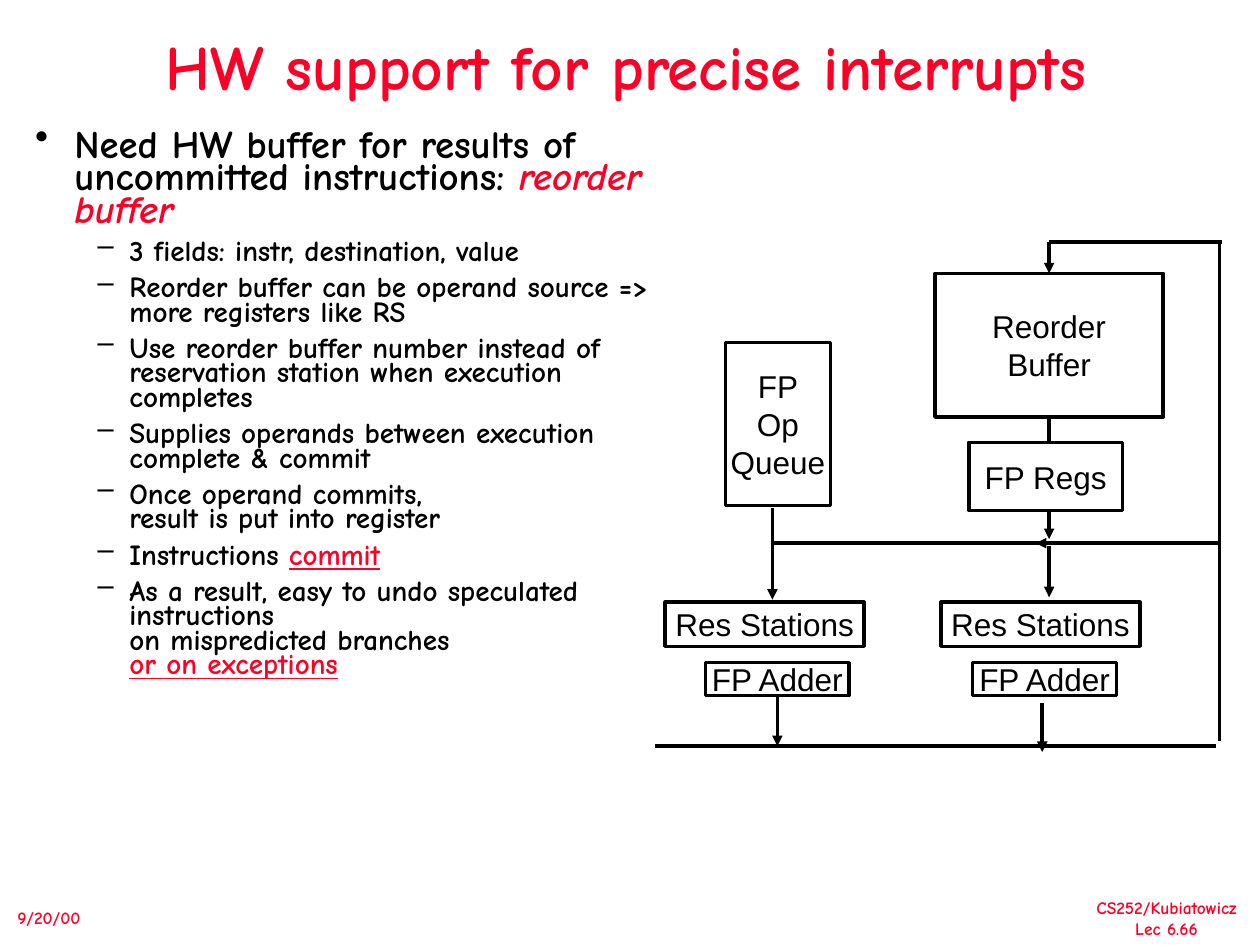
from lxml.etree import SubElement
from pptx import Presentation
from pptx.dml.color import RGBColor
from pptx.enum.shapes import MSO_CONNECTOR, MSO_SHAPE
from pptx.enum.text import MSO_ANCHOR, PP_ALIGN
from pptx.oxml.ns import qn
from pptx.util import Cm, Pt

RED = RGBColor(0xFC, 0x01, 0x28)
BLACK = RGBColor(0x00, 0x00, 0x00)
WHITE = RGBColor(0xFF, 0xFF, 0xFF)
TEXT_FONT = "Comic Neue"
DIAGRAM_FONT = "Arial"
TOP, BOTTOM = 0, 2

HEADLINE = [("Need HW buffer for results of uncommitted instructions: ", False),
            ("reorder buffer", True)]
DETAILS = [
    [("3 fields: instr, destination, value", False)],
    [("Reorder buffer can be operand source => more registers like RS", False)],
    [("Use reorder buffer number instead of reservation station when execution completes", False)],
    [("Supplies operands between execution complete & commit", False)],
    [("Once operand commits,\nresult is put into register", False)],
    [("Instructions ", False), ("commit", True)],
    [("As a result, easy to undo speculated instructions\non mispredicted branches\n", False),
     ("or on exceptions", True)],
]


def style_paragraph(paragraph, size, name=TEXT_FONT, color=None, bold=True):
    font = paragraph.font
    font.name, font.size, font.bold = name, Pt(size), bold
    if color is not None:
        font.color.rgb = color


def add_text(slide, bounds, lines, size, alignment=PP_ALIGN.LEFT, wrap=False):
    text_box = slide.shapes.add_textbox(*map(Cm, bounds))
    frame = text_box.text_frame
    frame.word_wrap = wrap
    frame.text = "\n".join(lines)
    for paragraph in frame.paragraphs:
        paragraph.alignment = alignment
        style_paragraph(paragraph, size, color=RED)
    return frame


def add_bullet(paragraph, symbol, margin, hanging):
    properties = paragraph._p.get_or_add_pPr()
    properties.set("marL", str(Cm(margin)))
    properties.set("indent", str(-Cm(hanging)))
    bullet_color = SubElement(properties, qn("a:buClr"))
    SubElement(bullet_color, qn("a:srgbClr"), val=str(BLACK))
    SubElement(properties, qn("a:buChar"), char=symbol)


def fill_bullet(paragraph, pieces, symbol, size, margin, hanging, space, emphasis):
    paragraph.line_spacing = 0.7
    paragraph.space_before = Pt(space)
    add_bullet(paragraph, symbol, margin, hanging)
    style_paragraph(paragraph, size)
    for text, emphasized in pieces:
        for index, line in enumerate(text.split("\n")):
            if index:
                paragraph.add_line_break()
            if line:
                run = paragraph.add_run()
                run.text = line
                run.font.color.rgb = RED if emphasized else BLACK
                if emphasized:
                    setattr(run.font, emphasis, True)


def add_bullets(slide):
    frame = slide.shapes.add_textbox(Cm(0.46), Cm(2.54), Cm(13.31), Cm(12.14)).text_frame
    frame.word_wrap = True
    fill_bullet(frame.paragraphs[0], HEADLINE, "•", 22.2, 0.79, 0.79, 9, "italic")
    for pieces in DETAILS:
        paragraph = frame.add_paragraph()
        paragraph.level = 1
        fill_bullet(paragraph, pieces, "–", 16.6, 1.9, 0.64, 6.8, "underline")


def add_box(slide, text, left, top, width, height):
    box = slide.shapes.add_shape(MSO_SHAPE.RECTANGLE, Cm(left), Cm(top), Cm(width), Cm(height))
    box.shadow.inherit = False
    box.fill.solid()
    box.fill.fore_color.rgb = WHITE
    box.line.color.rgb = BLACK
    box.line.width = Pt(2)
    frame = box.text_frame
    frame.word_wrap = False
    frame.vertical_anchor = MSO_ANCHOR.MIDDLE
    frame.text = text
    for paragraph in frame.paragraphs:
        paragraph.alignment = PP_ALIGN.CENTER
        style_paragraph(paragraph, 18, DIAGRAM_FONT, BLACK, bold=False)
    return box


def add_line(slide, start_x, start_y, end_x, end_y, arrow=False):
    line = slide.shapes.add_connector(
        MSO_CONNECTOR.STRAIGHT, Cm(start_x), Cm(start_y), Cm(end_x), Cm(end_y))
    line.line.color.rgb = BLACK
    line.line.width = Pt(2)
    if arrow:
        SubElement(line.line._get_or_add_ln(), qn("a:tailEnd"), type="triangle")
    SubElement(line._element.spPr, qn("a:effectLst"))
    return line


def add_diagram(slide):
    reorder_buffer = add_box(slide, "Reorder\nBuffer", 18.85, 5.51, 4.6, 2.9)
    add_box(slide, "FP\nOp\nQueue", 14.63, 6.91, 2.11, 3.28)
    left_adder, _ = [add_box(slide, "FP Adder", left, 13.36, 2.9, 0.66)
                     for left in (14.22, 19.61)]
    for left in (13.41, 18.97):
        add_box(slide, "Res Stations", left, 12.14, 4.01, 0.89)

    result_y, operand_y, bus_x, regs_x = 15.04, 10.95, 24.58, 21.15
    add_line(slide, 13.21, result_y, 24.51, result_y)
    add_line(slide, bus_x, 4.9, bus_x, 14.94)
    add_line(slide, 24.64, 4.88, regs_x, 4.88)
    add_line(slide, regs_x, 4.88, regs_x, 5.51, True).end_connect(reorder_buffer, TOP)
    add_line(slide, 15.67, 14.02, 15.67, result_y, True).begin_connect(left_adder, BOTTOM)
    add_line(slide, 21.01, 14.17, 21.01, 15.16, True)
    add_line(slide, 15.57, 10.24, 15.57, 12.09, True)
    add_line(slide, 15.6, operand_y, 20.98, operand_y)
    add_line(slide, regs_x, 11, regs_x, 12.04, True)
    add_line(slide, regs_x, 8.41, regs_x, 10.87, True).begin_connect(reorder_buffer, BOTTOM)
    add_line(slide, bus_x, operand_y, 20.88, operand_y, True)
    add_box(slide, "FP Regs", 19.53, 8.92, 3.1, 1.37)


def main():
    presentation = Presentation()
    presentation.slide_width, presentation.slide_height = Cm(25.4), Cm(19.05)
    slide = presentation.slides.add_slide(presentation.slide_layouts[6])
    add_text(slide, (21.84, 17.96, 3.35, 1.09), ["CS252/Kubiatowicz", "Lec 6.66"], 10,
             PP_ALIGN.CENTER)
    add_text(slide, (0.1, 18.16, 1.78, 0.69), ["9/20/00"], 10)
    title = add_text(slide, (1.47, 0.84, 22.3, 1.14), ["HW support for precise interrupts"], 36,
                     PP_ALIGN.CENTER, wrap=True)
    title.vertical_anchor = MSO_ANCHOR.MIDDLE
    title.paragraphs[0].line_spacing = 0.9
    add_bullets(slide)
    add_diagram(slide)
    presentation.save("out.pptx")


if __name__ == "__main__":
    main()
